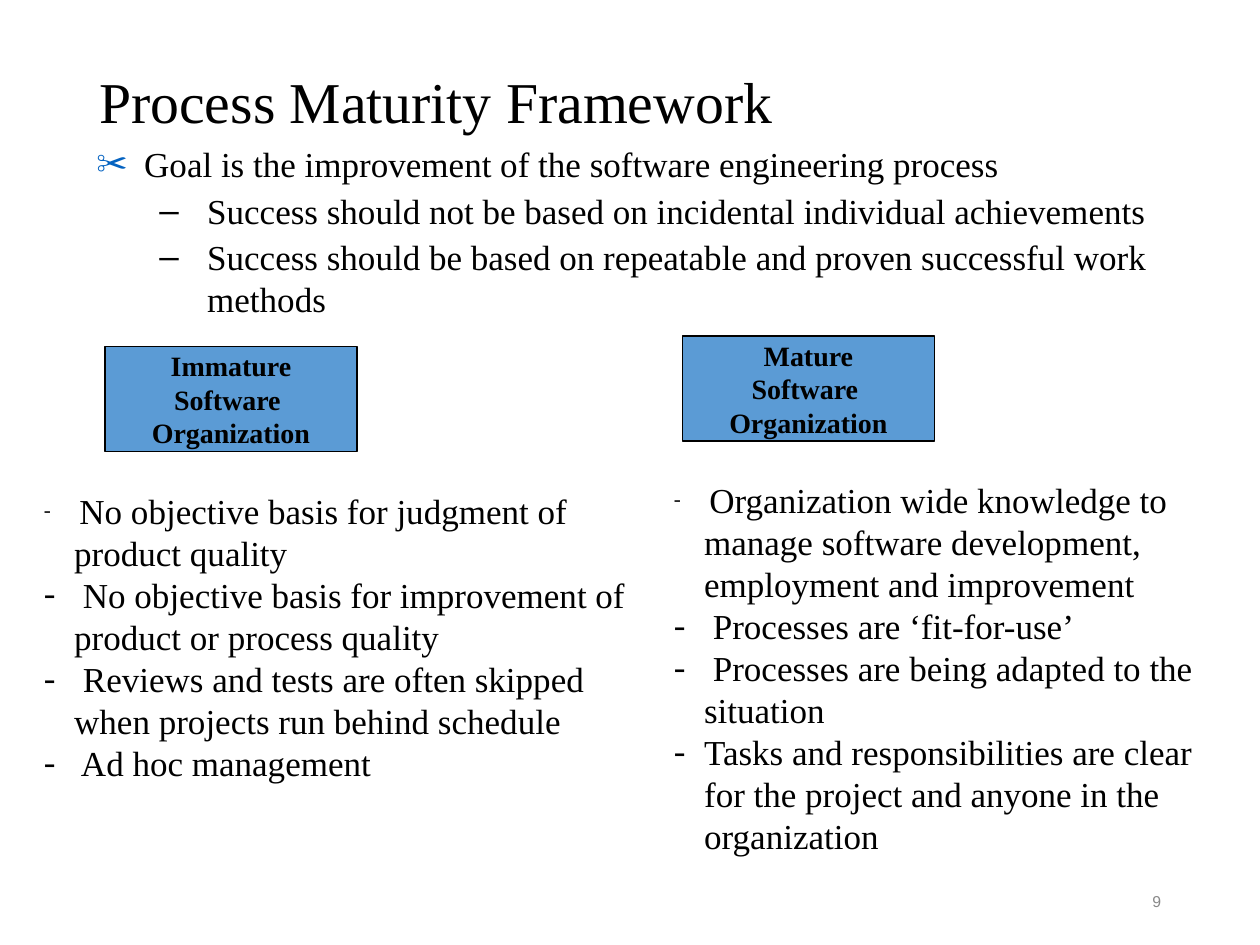
from pptx import Presentation
from pptx.dml.color import RGBColor
from pptx.enum.shapes import MSO_SHAPE
from pptx.enum.text import MSO_ANCHOR, MSO_AUTO_SIZE, PP_ALIGN
from pptx.oxml.ns import qn
from pptx.util import Inches, Pt
from lxml.etree import SubElement

THEME = {
    "serif": "Times New Roman", "sans": "Arial",
    "ink": "000000", "gray": "898989", "blue": "5B9BD5", "mark": "0563C1",
    "title": 33, "body": 20, "head": 16, "lead": 12, "page": 9,
}
COLS, ROWS = 120, 90  # twelve grid cells to the inch

deck = Presentation()
deck.slide_width, deck.slide_height = Inches(10), Inches(7.5)
slide = deck.slides.add_slide(deck.slide_layouts[5])


def grid(col, row, wide, high):
    """Turn grid cells into left, top, width and height."""
    dx, dy = deck.slide_width / COLS, deck.slide_height / ROWS
    return int(col * dx), int(row * dy), int(wide * dx), int(high * dy)


def write(para, text, size, face="serif", color="ink", bold=False, bullet=None):
    """Add a run; bullet is (sign, face, color, percent, margin, hang)."""
    run = para.add_run()
    run.text = text
    look = {"size": Pt(THEME[size]), "name": THEME[face], "bold": bold}
    for key, value in look.items():
        setattr(run.font, key, value)
    run.font.color.rgb = RGBColor.from_string(THEME[color])
    if bullet:
        sign, font, tint, share, margin, hang = bullet
        props = para._p.get_or_add_pPr()
        props.set("marL", str(Inches(margin)))
        props.set("indent", str(-Inches(hang)))
        paint = SubElement(props, qn("a:buClr"))
        SubElement(paint, qn("a:srgbClr"), val=THEME[tint])
        SubElement(props, qn("a:buSzPct"), val=str(share * 1000))
        SubElement(props, qn("a:buFont"), typeface=THEME[font])
        SubElement(props, qn("a:buChar"), char=sign)


# Title
title = slide.shapes.title
title.left, title.top, title.width, title.height = grid(8.25, 1.3, 103.5, 17.4)
frame = title.text_frame
for key, value in {"auto_size": MSO_AUTO_SIZE.NONE, "word_wrap": True,
                   "vertical_anchor": MSO_ANCHOR.MIDDLE}.items():
    setattr(frame, key, value)
para = frame.paragraphs[0]
para.alignment, para.line_spacing = PP_ALIGN.LEFT, 0.9
write(para, "Process Maturity Framework", "title")

# Goal and its two conditions
goals = [
    (0, "Goal is the improvement of the software engineering process"),
    (1, "Success should not be based on incidental individual achievements"),
    (1, "Success should be based on repeatable and proven successful work methods"),
]
marks = [("✂", "serif", "mark", 90, 0.38, 0.38),
         ("–", "sans", "ink", 100, 0.88, 0.38)]
frame = slide.shapes.add_textbox(*grid(8, 13, 103, 18.1)).text_frame
frame.word_wrap = True
for i, (level, text) in enumerate(goals):
    para = frame.add_paragraph() if i else frame.paragraphs[0]
    para.level, para.space_before = level, Pt(2.5)
    write(para, text, "body", bullet=marks[level])

# Two kinds of organization: column, row, width, height of box and list
sides = [
    ("Immature", (10, 33, 24, 10), (3, 46, 58, 29.3), [
        "No objective basis for judgment of product quality",
        " No objective basis for improvement of product or process quality",
        " Reviews and tests are often skipped when projects run behind schedule",
        " Ad hoc management",
    ]),
    ("Mature", (65, 32, 24, 10), (63, 45, 55, 37.2), [
        "Organization wide knowledge to manage software development, "
        "employment and improvement",
        " Processes are ‘fit-for-use’",
        " Processes are being adapted to the situation",
        "Tasks and responsibilities are clear for the project and anyone "
        "in the organization",
    ]),
]
dash = ("-", "serif", "ink", 100, 0.24, 0.24)
for kind, place, area, points in sides:
    box = slide.shapes.add_shape(MSO_SHAPE.RECTANGLE, *grid(*place))
    box.shadow.inherit = False
    box.fill.solid()
    box.fill.fore_color.rgb = RGBColor.from_string(THEME["blue"])
    box.line.color.rgb = RGBColor.from_string(THEME["ink"])
    box.line.width = Pt(1)
    frame = box.text_frame
    frame.word_wrap, frame.vertical_anchor = False, MSO_ANCHOR.MIDDLE
    for i, text in enumerate([kind, "Software ", "Organization"]):
        para = frame.add_paragraph() if i else frame.paragraphs[0]
        para.alignment = PP_ALIGN.CENTER
        write(para, text, "head", bold=True)

    frame = slide.shapes.add_textbox(*grid(*area)).text_frame
    frame.word_wrap = True
    for i, text in enumerate(points):
        para = frame.add_paragraph() if i else frame.paragraphs[0]
        if i == 0:
            write(para, " ", "lead")
        write(para, text, "body", bullet=dash)

# Page number
frame = slide.shapes.add_textbox(*grid(84.75, 83.4, 27, 4.8)).text_frame
frame.word_wrap, frame.vertical_anchor = True, MSO_ANCHOR.MIDDLE
para = frame.paragraphs[0]
para.alignment = PP_ALIGN.RIGHT
write(para, "9", "page", "sans", "gray")

deck.save("out.pptx")
